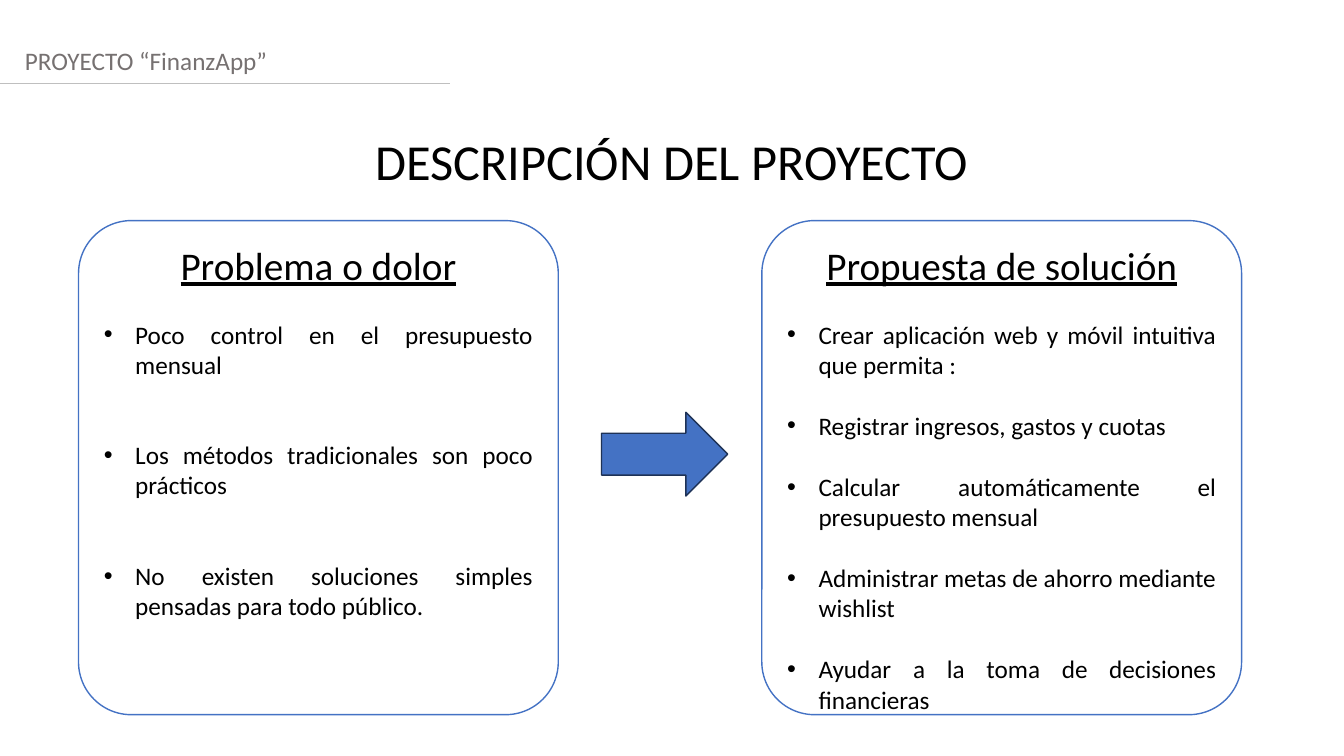
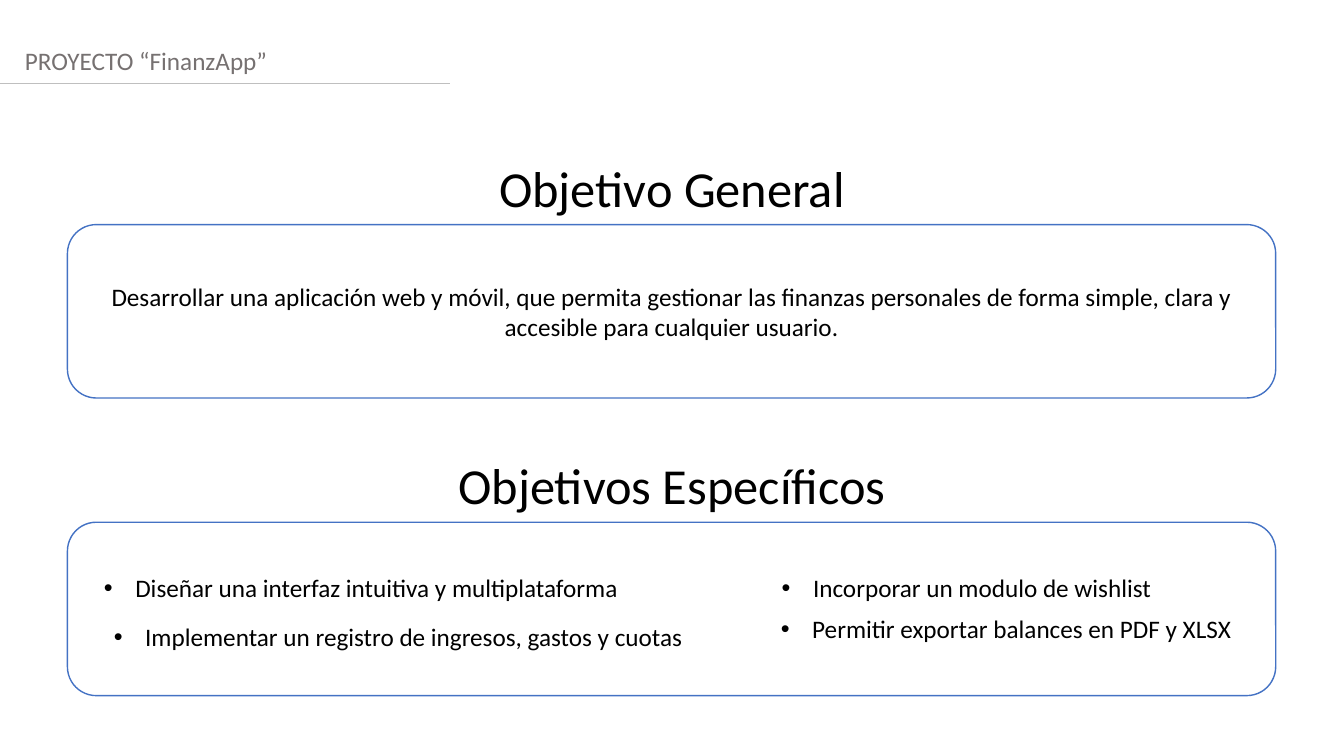
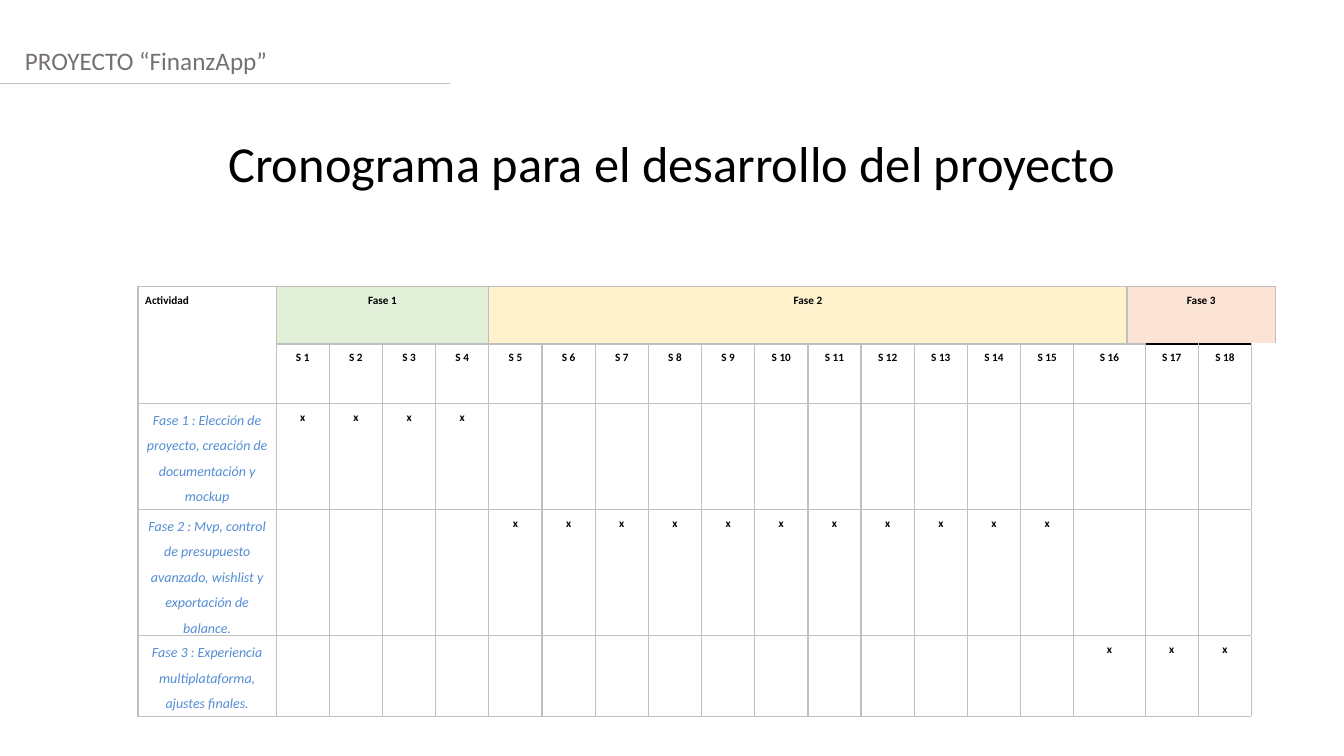
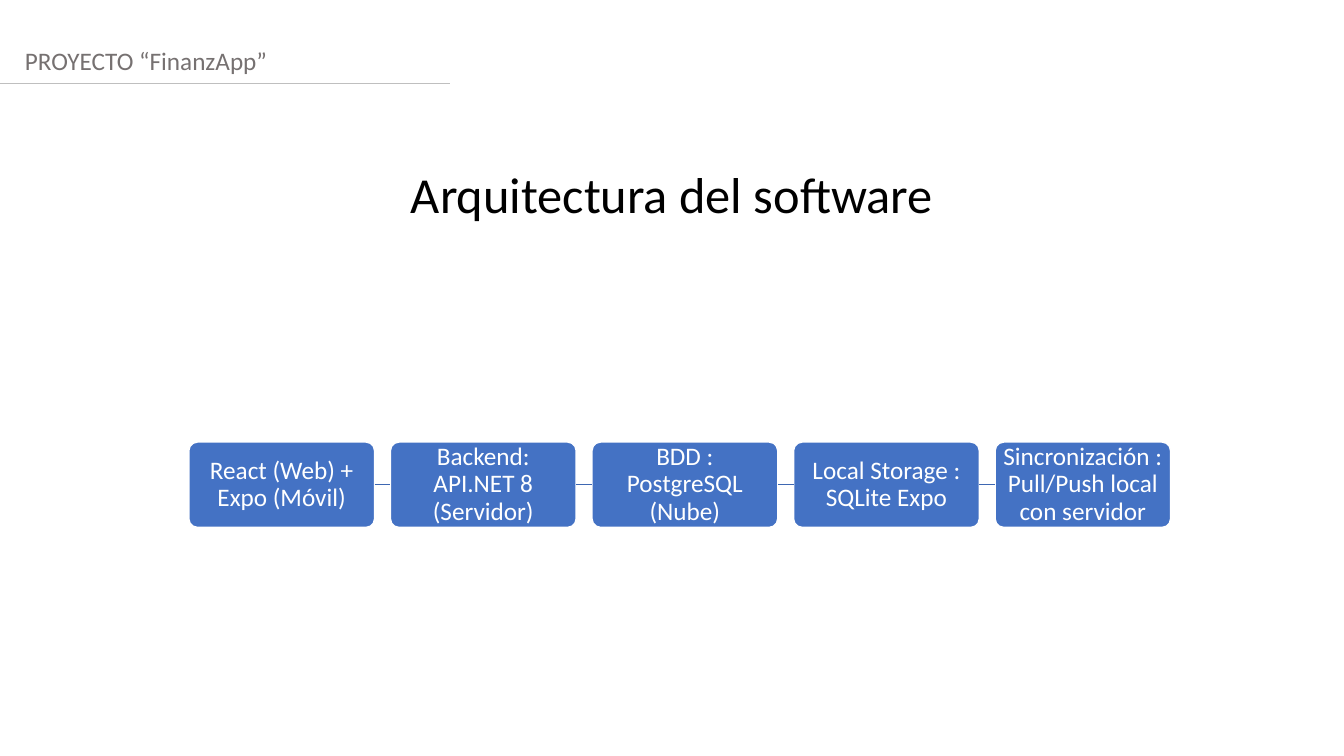
import pptx
import pptx.util
import pptx.dml.color
import pptx.enum.shapes
import pptx.enum.text
import pptx.oxml
import pptx.oxml.ns
import lxml.etree

Cm = pptx.util.Cm
Pt = pptx.util.Pt
ALIGN = pptx.enum.text.PP_ALIGN
ANCHOR = pptx.enum.text.MSO_ANCHOR
SHAPE = pptx.enum.shapes.MSO_SHAPE

BLUE, WHITE, BLACK = "4472C4", "FFFFFF", "000000"
GREY_TEXT, GREY_LINE, PHASE_TEXT = "767171", "BFBFBF", "548DD4"

BODY = {"name": "Calibri", "size": Pt(18)}
TITLE = {**BODY, "size": Pt(36)}
HEADING = {**BODY, "size": Pt(28), "underline": True}
MARK = {**BODY, "size": Pt(8), "bold": True}
PHASE = {**BODY, "size": Pt(10), "italic": True}


def color(value):
    return pptx.dml.color.RGBColor.from_string(value)


def add_xml(parent, tag, **attributes):
    child = lxml.etree.SubElement(parent, pptx.oxml.ns.qn(tag))
    for name, value in attributes.items():
        child.set(name, str(value))
    return child


class Deck:
    def __init__(self):
        self.prs = pptx.Presentation()
        self.prs.slide_width, self.prs.slide_height = Cm(33.87), Cm(19.05)
        self.slide = None

    def new_slide(self):
        self.slide = self.prs.slides.add_slide(self.prs.slide_layouts[6])
        self.text(0.38, 1.02, 33.87, 1.02, "PROYECTO “FinanzApp”", ink=GREY_TEXT)
        self.line((0, 2.11), (11.35, 2.11), GREY_LINE, 0.75)

    def fill_paragraph(self, paragraph, text, style=BODY, ink=BLACK, align=ALIGN.LEFT,
                       bullet=False, **spacing):
        if bullet:
            properties = paragraph._p.get_or_add_pPr()
            properties.set("marL", str(Cm(0.79)))
            properties.set("indent", str(-Cm(0.79)))
            add_xml(properties, "a:buFont", typeface="Arial")
            add_xml(properties, "a:buChar", char="•")
        for name, value in {"alignment": align, **spacing}.items():
            setattr(paragraph, name, value)
        run = paragraph.add_run()
        run.text = text
        for name, value in style.items():
            setattr(run.font, name, value)
        run.font.color.rgb = color(ink)

    def text(self, x, y, width, height, text, **format_values):
        frame = self.slide.shapes.add_textbox(Cm(x), Cm(y), Cm(width), Cm(height)).text_frame
        frame.word_wrap = True
        self.fill_paragraph(frame.paragraphs[0], text, **format_values)

    def title(self, y, text):
        self.text(0, y, 33.87, 1.8, text, style=TITLE, align=ALIGN.CENTER)

    def shape(self, kind, x, y, width, height, fill=WHITE, outline=BLUE, corner=None):
        shape = self.slide.shapes.add_shape(kind, Cm(x), Cm(y), Cm(width), Cm(height))
        shape.shadow.inherit = False
        shape.fill.solid()
        shape.fill.fore_color.rgb = color(fill)
        shape.line.color.rgb = color(outline)
        shape.line.width = Pt(1)
        if corner is not None:
            shape.adjustments[0] = corner
        return shape

    def card(self, x, heading, items, gap):
        card = self.shape(SHAPE.ROUNDED_RECTANGLE, x, 5.56, 12.09, 12.45, corner=0.11)
        frame = card.text_frame
        frame.vertical_anchor = ANCHOR.TOP
        self.fill_paragraph(frame.paragraphs[0], heading, HEADING, align=ALIGN.CENTER,
                            space_after=Pt(22))
        for index, item in enumerate(items):
            self.fill_paragraph(frame.add_paragraph(), item, align=ALIGN.JUSTIFY, bullet=True,
                                space_before=Pt(gap if index else 0))

    def node(self, x, width, label):
        node = self.shape(SHAPE.ROUNDED_RECTANGLE, x, 11.14, width, 2.15, BLUE, WHITE, 0.1)
        frame = node.text_frame
        for side in ("left", "right", "top", "bottom"):
            setattr(frame, "margin_" + side, Cm(0.03))
        self.fill_paragraph(frame.paragraphs[0], label, ink=WHITE, align=ALIGN.CENTER,
                            line_spacing=0.9)
        return node

    def line(self, start, end, ink, width):
        points = [Cm(value) for value in (*start, *end)]
        line = self.slide.shapes.add_connector(pptx.enum.shapes.MSO_CONNECTOR.STRAIGHT, *points)
        line.line.color.rgb = color(ink)
        line.line.width = Pt(width)
        add_xml(line._element.spPr, "a:effectLst")
        return line

    def link(self, left, right):
        line = self.line((0, 0), (0, 0), "3E67B2", 1)
        line.begin_connect(left, 3)
        line.end_connect(right, 1)

    def table(self, x, y, columns, rows):
        frame = self.slide.shapes.add_table(len(rows), len(columns), Cm(x), Cm(y),
                                            Cm(sum(columns)), Cm(sum(rows)))
        table = frame.table
        table.first_row = table.horz_banding = False
        for column, width in zip(table.columns, columns):
            column.width = Cm(width)
        for row, height in zip(table.rows, rows):
            row.height = Cm(height)
        return table

    def border(self, cell, sides):
        properties = cell._tc.get_or_add_tcPr()
        for side, ink in sides.items():
            edge = add_xml(properties, "a:ln" + side, w=Pt(1))
            add_xml(add_xml(edge, "a:solidFill"), "a:srgbClr", val=ink)

    def cell(self, cell, text, style=MARK, ink=BLACK, align=ALIGN.CENTER):
        for name, value in {"left": 0.18, "right": 0.18, "top": 0, "bottom": 0}.items():
            setattr(cell, "margin_" + name, Cm(value))
        self.fill_paragraph(cell.text_frame.paragraphs[0], text, style, ink, align,
                            line_spacing=1.5, space_after=Pt(8))


def description(deck):
    deck.new_slide()
    deck.title(3.15, "DESCRIPCIÓN DEL PROYECTO")
    deck.card(1.98, "Problema o dolor", [
        "Poco control en el presupuesto mensual",
        "Los métodos tradicionales son poco prácticos",
        "No existen soluciones simples pensadas para todo público.",
    ], 43)
    deck.card(19.2, "Propuesta de solución", [
        "Crear aplicación web y móvil intuitiva que permita :",
        "Registrar ingresos, gastos y cuotas",
        "Calcular automáticamente el presupuesto mensual",
        "Administrar metas de ahorro mediante wishlist",
        "Ayudar a la toma de decisiones financieras",
    ], 22)
    deck.shape(SHAPE.RIGHT_ARROW, 15.16, 10.39, 3.18, 2.11, BLUE, "1E3256")


def objectives(deck):
    deck.new_slide()
    deck.title(3.84, "Objetivo General")
    deck.title(11.33, "Objetivos Específicos")
    general, _ = [deck.shape(SHAPE.ROUNDED_RECTANGLE, 1.7, y, 30.45, 4.37) for y in (5.66, 13.16)]
    deck.fill_paragraph(
        general.text_frame.paragraphs[0],
        "Desarrollar una aplicación web y móvil, que permita gestionar las finanzas personales "
        "de forma simple, clara y accesible para cualquier usuario.", align=ALIGN.CENTER)
    for x, y, goal in (
        (2.37, 14.3, "Diseñar una interfaz intuitiva y multiplataforma"),
        (2.62, 15.54, "Implementar un registro de ingresos, gastos y cuotas"),
        (19.45, 14.3, "Incorporar un modulo de wishlist"),
        (19.43, 15.34, "Permitir exportar balances en PDF y XLSX"),
    ):
        deck.text(x, y, 16 if x < 10 else 13, 1.02, goal, bullet=True)


def schedule(deck):
    deck.new_slide()
    deck.title(3.2, "Cronograma para el desarrollo del proyecto")
    columns = [3.48] + [1.34] * 16 + [0.46] + [1.34] * 2 + [0.4]
    table = deck.table(3.48, 7.22, columns, [1.45, 1.5, 2.67, 3.18, 2.03])
    last = len(columns) - 1
    week_column = {week: week if week < 17 else week + 1 for week in range(1, 19)}

    for row in range(5):
        for column in range(last + 1):
            sides = dict.fromkeys("LRTB", GREY_LINE)
            if row and column == last:
                sides = {"L": GREY_LINE}
            elif row == 1 and column in (18, 19):
                sides["T"] = BLACK
            deck.border(table.cell(row, column), sides)
            table.cell(row, column).fill.background()

    table.cell(0, 0).merge(table.cell(1, 0))
    deck.cell(table.cell(0, 0), "Actividad", align=ALIGN.JUSTIFY)
    for row in range(1, 5):
        table.cell(row, 16).merge(table.cell(row, 17))
    for name, first, end, fill in (
        ("Fase 1", 1, 4, "E2EFD9"), ("Fase 2", 5, 16, "FFF2CC"), ("Fase 3", 17, 20, "FBE4D5"),
    ):
        header = table.cell(0, first)
        header.merge(table.cell(0, end))
        header.fill.solid()
        header.fill.fore_color.rgb = color(fill)
        deck.cell(header, name)
    for week, column in week_column.items():
        deck.cell(table.cell(1, column), f"S {week}")

    for row, (activity, weeks) in enumerate((
        ("Fase 1 : Elección de proyecto, creación de documentación y mockup", range(1, 5)),
        ("Fase 2 : Mvp, control de presupuesto avanzado, wishlist y exportación de balance.", range(5, 16)),
        ("Fase 3 : Experiencia multiplataforma, ajustes finales.", range(16, 19)),
    ), start=2):
        deck.cell(table.cell(row, 0), activity, PHASE, PHASE_TEXT)
        for week in weeks:
            deck.cell(table.cell(row, week_column[week]), "x")


def architecture(deck):
    deck.new_slide()
    deck.title(3.99, "Arquitectura del software")
    layers = ["React (Web) + Expo (Móvil)", "Backend: API.NET 8 (Servidor)", "BDD : PostgreSQL (Nube)",
              "Local Storage : SQLite Expo", "Sincronización : Pull/Push local con servidor"]
    nodes = [deck.node(4.76 + 5.08 * index, 4.42 if index == 4 else 4.68, layer)
             for index, layer in enumerate(layers)]
    for left, right in zip(nodes, nodes[1:]):
        deck.link(left, right)


def main():
    deck = Deck()
    for build in (description, objectives, schedule, architecture):
        build(deck)
    deck.prs.save("out.pptx")


if __name__ == "__main__":
    main()
